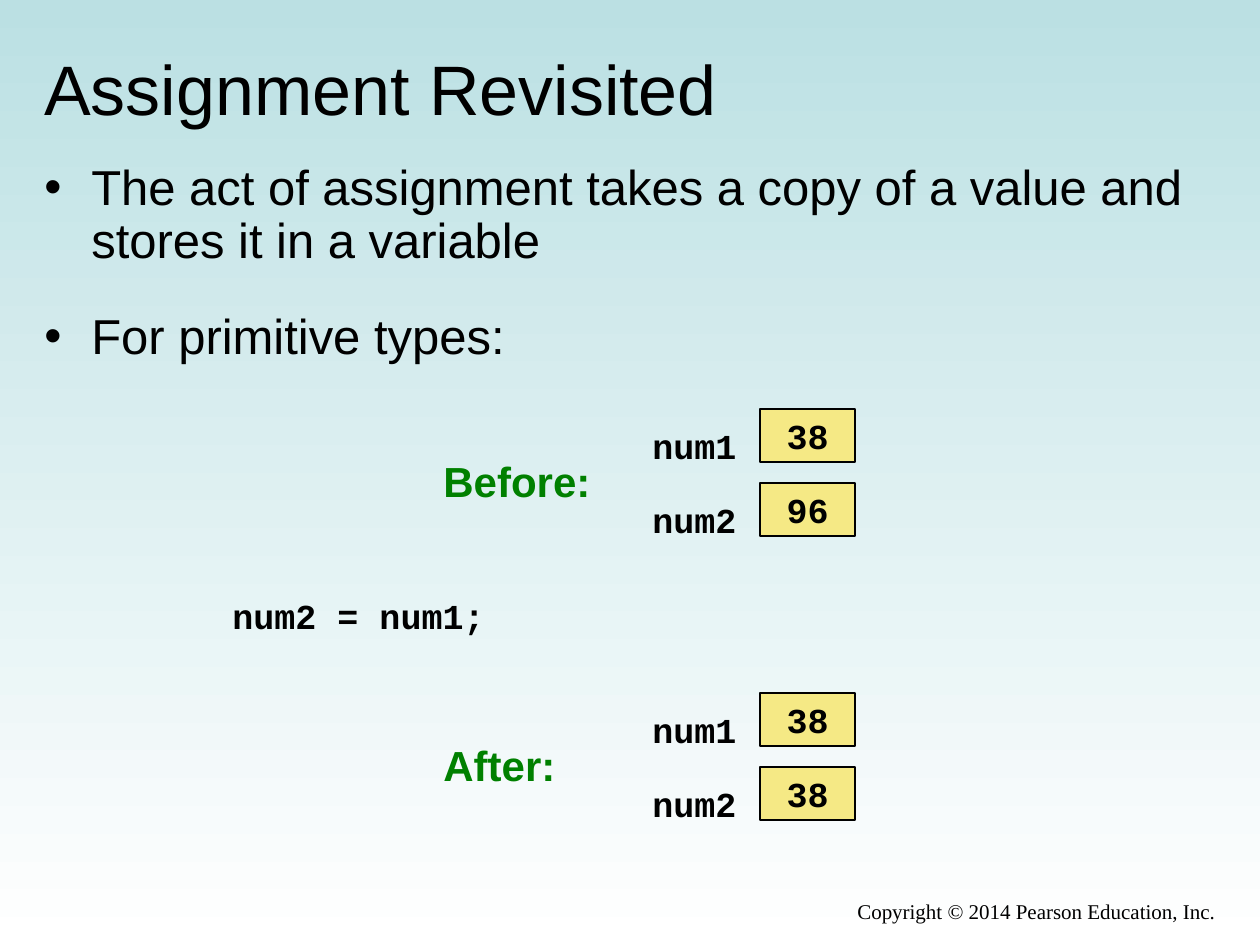
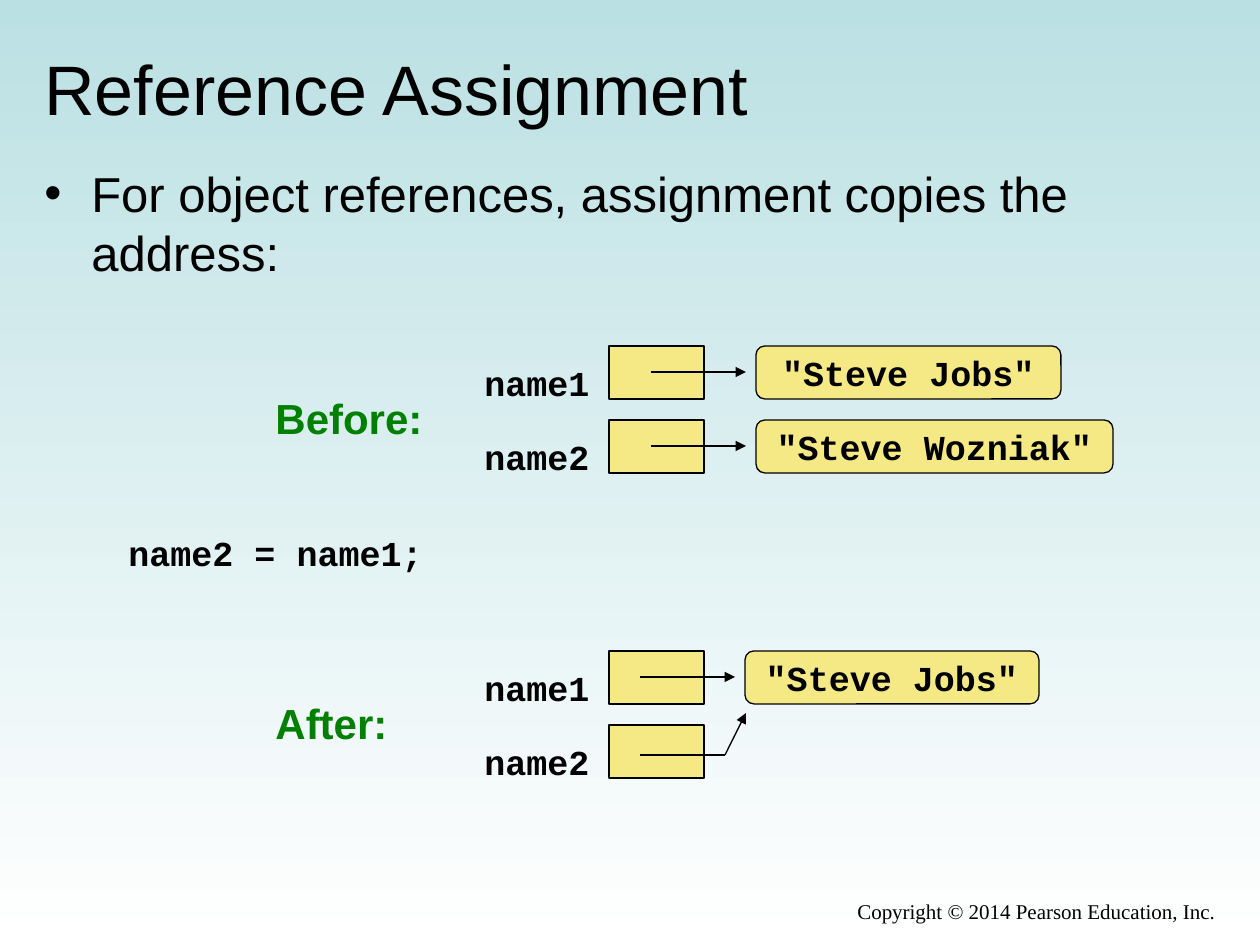
from lxml import etree
from pptx import Presentation
from pptx.dml.color import RGBColor
from pptx.enum import shapes, text
from pptx.oxml import ns
from pptx import util as u

SCALE = 914400 / 126
BLACK = RGBColor(0x00, 0x00, 0x00)
GREEN = RGBColor(0x00, 0x80, 0x00)
YELLOW = RGBColor(0xF5, 0xE9, 0x85)
SKY = RGBColor(0xBB, 0xE0, 0xE3)
WHITE = RGBColor(0xFF, 0xFF, 0xFF)
SANS, MONO, SERIF = "Arial", "Courier New", "Times New Roman"

TITLE_BOX = (32, 39, 1197, 98)
FOOTER_BOX = (462, 892, 766, 43)
INDENT = 47
CELL_WIDTH, CELL_HEIGHT, ROW_PITCH = 95, 53, 74
LABEL_OFFSET, LABEL_DROP = 209, 9
HEADING_DROP, HEADING_WIDTH, HEADING_HEIGHT = 40, 180, 63
CODE_HEIGHT = 55
ARROW_LENGTH, ARROW_GAP = 95, 10


def px(length):
    return u.Emu(round(length * SCALE))


def scaled(box):
    return [px(length) for length in box]


def style(para, size, font, color=BLACK, bold=False):
    for span in para.runs:
        span.font.size = u.Pt(size)
        span.font.name = font
        span.font.bold = bold
        span.font.color.rgb = color


def add_text(items, box, wording, size, font, color=BLACK, bold=False):
    frame = items.add_textbox(*scaled(box)).text_frame
    frame.word_wrap = True
    frame.text = wording
    style(frame.paragraphs[0], size, font, color, bold)
    return frame


def add_code(items, left, top, width, code):
    add_text(items, (left, top, width, CODE_HEIGHT), code, 20, MONO, bold=True)


def add_block(items, kind, box, wording=""):
    block = items.add_shape(kind, *scaled(box))
    block.shadow.inherit = False
    block.fill.solid()
    block.fill.fore_color.rgb = YELLOW
    block.line.color.rgb = BLACK
    block.line.width = u.Pt(0.75)
    if wording:
        frame = block.text_frame
        frame.word_wrap = False
        frame.vertical_anchor = text.MSO_ANCHOR.MIDDLE
        frame.text = wording
        frame.paragraphs[0].alignment = text.PP_ALIGN.CENTER
        style(frame.paragraphs[0], 20, MONO, bold=True)


def add_line(items, start, end, arrow=True):
    line = items.add_connector(shapes.MSO_CONNECTOR.STRAIGHT, *scaled(start + end))
    line.line.color.rgb = BLACK
    line.line.width = u.Pt(0.75)
    if arrow:
        etree.SubElement(line.line._get_or_add_ln(), ns.qn("a:tailEnd"), type="triangle")
    etree.SubElement(line._element.spPr, ns.qn("a:effectLst"))


def add_page(deck, title):
    page = deck.slides.add_slide(deck.slide_layouts[6])
    fill = page.background.fill
    fill.gradient()
    fill.gradient_angle = 270
    for stop, color, position in zip(fill.gradient_stops, (SKY, WHITE), (0, 1)):
        stop.color.rgb = color
        stop.position = position
    heading = add_text(page.shapes, TITLE_BOX, title, 40, SANS)
    heading.vertical_anchor = text.MSO_ANCHOR.MIDDLE
    footer = add_text(page.shapes, FOOTER_BOX, "Copyright © 2014 Pearson Education, Inc.",
                      12, SERIF)
    footer.paragraphs[0].alignment = text.PP_ALIGN.RIGHT
    return page


def add_bullets(page, box, points, line_spacing=1.0):
    frame = add_text(page.shapes, box, "\n".join(points), 28, SANS)
    for index, para in enumerate(frame.paragraphs):
        properties = para._p.get_or_add_pPr()
        properties.set("marL", str(px(INDENT)))
        properties.set("indent", str(-px(INDENT)))
        etree.SubElement(properties, ns.qn("a:buFont"), typeface=SANS)
        etree.SubElement(properties, ns.qn("a:buChar"), char="•")
        para.font.size = u.Pt(28)
        para.line_spacing = line_spacing
        if index:
            para.space_before = u.Pt(24.5)
        style(para, 28, SANS)


def add_state(page, left, top, heading, names, label_width, cell_offset, values=("", "")):
    items = page.shapes.add_group_shape().shapes
    for row, (name, value) in enumerate(zip(names, values)):
        row_top = top + row * ROW_PITCH
        add_block(items, shapes.MSO_SHAPE.RECTANGLE,
                  (left + cell_offset, row_top, CELL_WIDTH, CELL_HEIGHT), value)
        add_code(items, left + LABEL_OFFSET, row_top + LABEL_DROP, label_width, name)
    add_text(items, (left, top + HEADING_DROP, HEADING_WIDTH, HEADING_HEIGHT),
             heading, 24, SANS, GREEN, True)
    return items


def add_reference(items, start, top, target, target_width):
    middle = top + CELL_HEIGHT // 2
    end = start + ARROW_LENGTH
    add_block(items, shapes.MSO_SHAPE.ROUNDED_RECTANGLE,
              (end + ARROW_GAP, top, target_width, CELL_HEIGHT), target)
    add_line(items, (start, middle), (end, middle))


def add_bent_reference(items, start, top):
    bend = (start + 85, top + 30)
    add_line(items, bend, (bend[0] + 21, bend[1] - 42))
    add_line(items, bend, (start, bend[1]), arrow=False)


def build_primitive_page(deck):
    page = add_page(deck, "Assignment Revisited")
    add_bullets(page, (32, 157, 1197, 246),
                ("The act of assignment takes a copy of a value and stores it in a variable",
                 "For primitive types:"), 0.9)
    layout = {"names": ("num1", "num2"), "label_width": 116, "cell_offset": 329}
    add_state(page, 431, 409, "Before:", values=("38", "96"), **layout)
    add_code(page.shapes, 220, 588, 290, "num2 = num1;")
    add_state(page, 431, 693, "After:", values=("38", "38"), **layout)


def build_reference_page(deck):
    page = add_page(deck, "Reference Assignment")
    add_bullets(page, (32, 157, 1176, 158),
                ("For object references, assignment copies the address:",))
    layout = {"names": ("name1", "name2"), "label_width": 136, "cell_offset": 346}
    before_top, after_top = 346, 651
    before = add_state(page, 263, before_top, "Before:", **layout)
    add_reference(before, 651, before_top, '"Steve Jobs"', 305)
    add_reference(before, 651, before_top + ROW_PITCH, '"Steve Wozniak"', 357)
    add_code(page.shapes, 116, 525, 332, "name2 = name1;")
    after = add_state(page, 263, after_top, "After:", **layout)
    add_reference(after, 640, after_top, '"Steve Jobs"', 294)
    add_bent_reference(after, 640, after_top + ROW_PITCH)


def main():
    deck = Presentation()
    deck.slide_width, deck.slide_height = px(1260), px(945)
    build_primitive_page(deck)
    build_reference_page(deck)
    deck.save("out.pptx")


if __name__ == "__main__":
    main()
